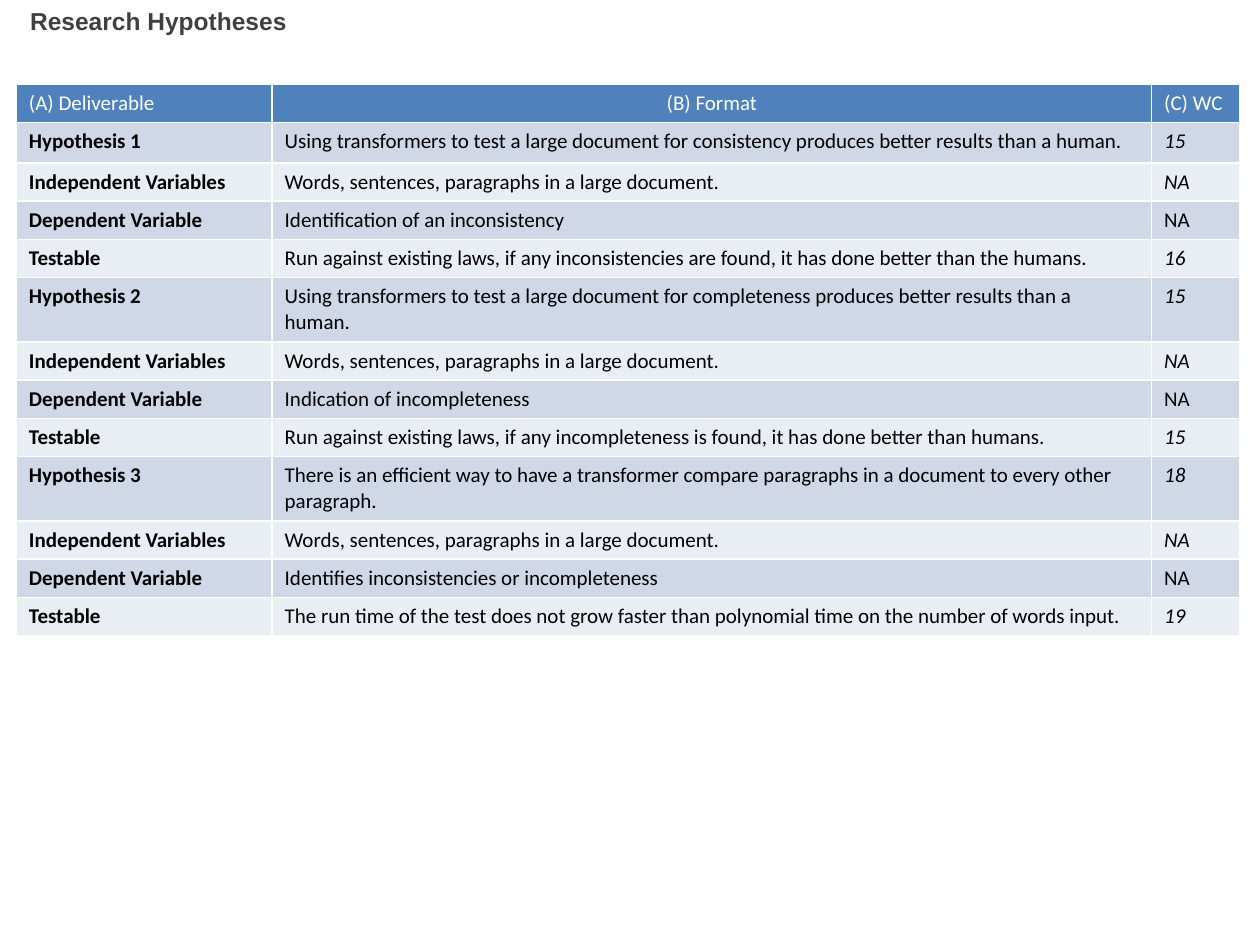
from typing import NamedTuple

from pptx import Presentation
from pptx.dml.color import RGBColor
from pptx.enum.text import PP_ALIGN
from pptx.oxml.xmlchemy import OxmlElement
from pptx.util import Inches, Pt

LEFT, CENTER = PP_ALIGN.LEFT, PP_ALIGN.CENTER
HEADER_FILL, DARK_BAND, LIGHT_BAND = "4F81BD", "D0D8E8", "E9EDF4"
WHITE, BLACK, TITLE_GREY = "FFFFFF", "000000", "404040"
COLUMN_WIDTHS = (2.03, 6.98, 0.7)
ROW_HEIGHT, TWO_LINE_HEIGHT, FIRST_HYPOTHESIS_HEIGHT = 0.3, 0.51, 0.32
HEADINGS = ("(A) Deliverable", "(B) Format", "(C) WC")
INPUTS = "Words, sentences, paragraphs in a large document."


class Hypothesis(NamedTuple):
    statement: str
    statement_words: str
    dependent: str
    test: str
    test_words: str
    height: float


HYPOTHESES = (
    Hypothesis(
        "Using transformers to test a large document for consistency produces better results than a human.",
        "15",
        "Identification of an inconsistency",
        "Run against existing laws, if any inconsistencies are found, it has done better than the humans.",
        "16",
        FIRST_HYPOTHESIS_HEIGHT,
    ),
    Hypothesis(
        "Using transformers to test a large document for completeness produces better results than a human.",
        "15",
        "Indication of incompleteness",
        "Run against existing laws, if any incompleteness is found, it has done better than humans.",
        "15",
        TWO_LINE_HEIGHT,
    ),
    Hypothesis(
        "There is an efficient way to have a transformer compare paragraphs in a document to every other paragraph.",
        "18",
        "Identifies inconsistencies or incompleteness",
        "The run time of the test does not grow faster than polynomial time on the number of words input.",
        "19",
        TWO_LINE_HEIGHT,
    ),
)


class Row(NamedTuple):
    deliverable: str
    content: str
    word_count: str
    height: float = ROW_HEIGHT
    italic_count: bool = True


def rgb(value: str) -> RGBColor:
    return RGBColor.from_string(value)


def write(frame, text: str, *, size: float = 12, font: str = "Calibri", color: str = BLACK,
          bold: bool = False, italic: bool = False, align=LEFT) -> None:
    paragraph = frame.paragraphs[0]
    paragraph.alignment = align
    run = paragraph.add_run()
    run.text = text
    run.font.size = Pt(size)
    run.font.name = font
    run.font.bold = bold
    run.font.italic = italic
    run.font.color.rgb = rgb(color)


def style_cell(cell, fill: str) -> None:
    """Give the cell white one-point borders and a solid fill."""
    properties = cell._tc.get_or_add_tcPr()
    for side in ("a:lnL", "a:lnR", "a:lnT", "a:lnB"):
        line = OxmlElement(side)
        line.set("w", str(Pt(1)))
        solid = OxmlElement("a:solidFill")
        color = OxmlElement("a:srgbClr")
        color.set("val", WHITE)
        solid.append(color)
        line.append(solid)
        properties.append(line)
    cell.fill.solid()
    cell.fill.fore_color.rgb = rgb(fill)


def hypothesis_rows(hypothesis: Hypothesis, number: int) -> list[Row]:
    return [
        Row(f"Hypothesis {number}", hypothesis.statement, hypothesis.statement_words, hypothesis.height),
        Row("Independent Variables", INPUTS, "NA"),
        Row("Dependent Variable", hypothesis.dependent, "NA", italic_count=False),
        Row("Testable", hypothesis.test, hypothesis.test_words),
    ]


def add_hypothesis_table(slide) -> None:
    rows = [row for number, hypothesis in enumerate(HYPOTHESES, 1)
            for row in hypothesis_rows(hypothesis, number)]
    heights = [ROW_HEIGHT] + [row.height for row in rows]
    table = slide.shapes.add_table(
        len(heights), len(COLUMN_WIDTHS), Inches(0.13), Inches(0.67),
        Inches(sum(COLUMN_WIDTHS)), Inches(sum(heights)),
    ).table
    for column, width in zip(table.columns, COLUMN_WIDTHS):
        column.width = Inches(width)
    for table_row, height in zip(table.rows, heights):
        table_row.height = Inches(height)

    for index, heading in enumerate(HEADINGS):
        cell = table.cell(0, index)
        style_cell(cell, HEADER_FILL)
        write(cell.text_frame, heading, color=WHITE, align=CENTER if index == 1 else LEFT)

    for index, row in enumerate(rows, 1):
        deliverable, content, word_count = table.rows[index].cells
        for cell in (deliverable, content, word_count):
            style_cell(cell, DARK_BAND if index % 2 else LIGHT_BAND)
        write(deliverable.text_frame, row.deliverable, bold=True)
        write(content.text_frame, row.content)
        write(word_count.text_frame, row.word_count, italic=row.italic_count)


def main() -> None:
    deck = Presentation()
    deck.slide_width, deck.slide_height = Inches(10), Inches(7.5)
    slide = deck.slides.add_slide(deck.slide_layouts[6])
    add_hypothesis_table(slide)
    title = slide.shapes.add_textbox(Inches(0.14), Inches(0), Inches(8.48), Inches(0.68)).text_frame
    title.word_wrap = True
    write(title, "Research Hypotheses", size=14, font="Arial", color=TITLE_GREY, bold=True)
    deck.save("out.pptx")


if __name__ == "__main__":
    main()
